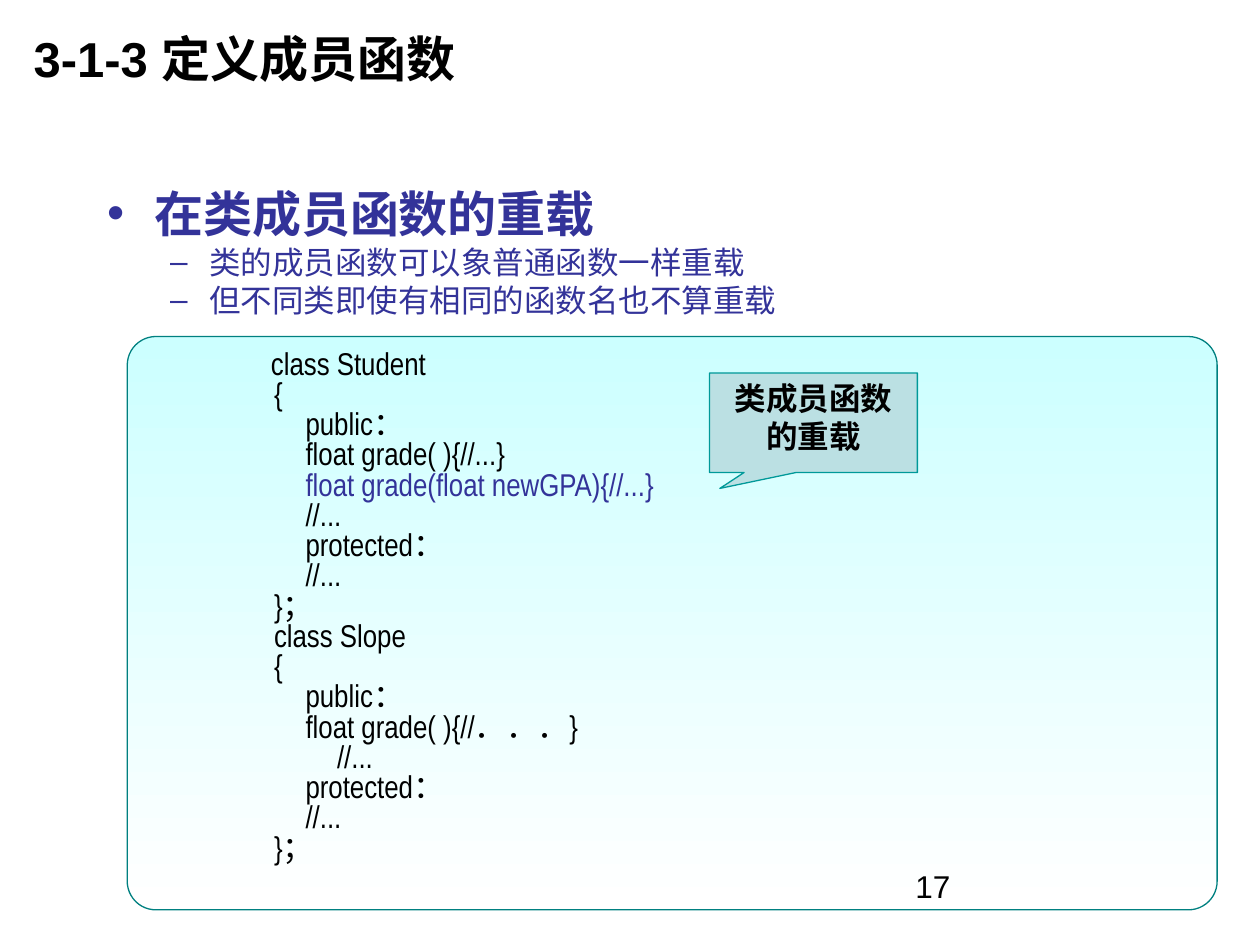
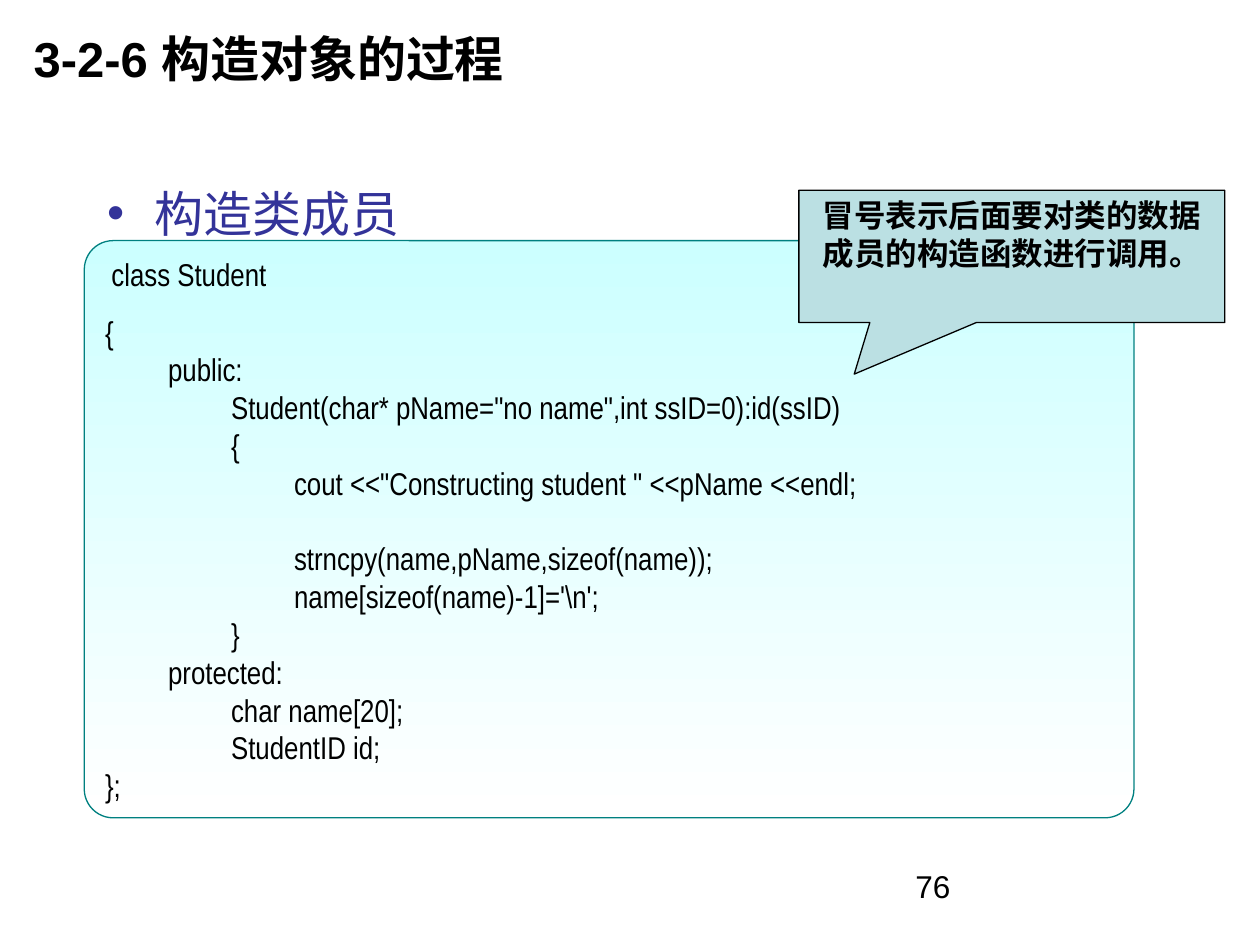
"""Builds two slides on C++ member functions and object construction."""
from pptx import Presentation
from pptx.dml.color import RGBColor
from pptx.enum.shapes import MSO_SHAPE
from pptx.enum.text import MSO_ANCHOR, MSO_AUTO_SIZE, PP_ALIGN
from pptx.util import Pt

ROUNDED, CALLOUT = MSO_SHAPE.ROUNDED_RECTANGLE, MSO_SHAPE.RECTANGULAR_CALLOUT
TOP, MIDDLE = MSO_ANCHOR.TOP, MSO_ANCHOR.MIDDLE
LEFT, CENTER = PP_ALIGN.LEFT, PP_ALIGN.CENTER
NO_FIT = MSO_AUTO_SIZE.NONE
BLACK, NAVY, TEAL, PALE = "000000", "333399", "008080", "BBE0E3"
EM = 18


def rgb(value):
    return RGBColor.from_string(value)


def style(p, size=18, color=BLACK, bold=False, name="Arial", align=LEFT):
    p.alignment = align
    for r in p.runs:
        r.font.size, r.font.bold, r.font.name = Pt(size), bold, name
        r.font.color.rgb = rgb(color)


# Code lines: indent in ems, text, space before in points, colour.
slides = [
    dict(
        title="3-1-3 定义成员函数", page="17", bold=True,
        bullets=["在类成员函数的重载", "类的成员函数可以象普通函数一样重载",
                 "但不同类即使有相同的函数名也不算重载"],
        box=(72.7, 192.3, 622.8, 327.6), pitch=17.3,
        code=[(3.9, "class Student", 0, BLACK), (4, "{", 0, BLACK),
              (5, "public：", 0, BLACK), (5, "float grade( ){//...}", 0, BLACK),
              (5, "float grade(float newGPA){//...}", 0, NAVY),
              (5, "//...", 0, BLACK), (5, "protected：", 0, BLACK),
              (5, "//...", 0, BLACK), (4, "}；", 0, BLACK),
              (4, "class Slope", 0, BLACK), (4, "{", 0, BLACK),
              (5, "public：", 0, BLACK), (5, "float grade( ){//．．．}", 0, BLACK),
              (6, "//...", 0, BLACK), (5, "protected：", 0, BLACK),
              (5, "//...", 0, BLACK), (4, "}；", 0, BLACK)],
        note="类成员函数的重载", note_box=(405.4, 213.1, 118.8, 56.9),
        tip=(-0.45, 0.66), note_line="009999"),
    dict(
        title="3-2-6 构造对象的过程", page="76", bold=False,
        bullets=["构造类成员"],
        box=(48.2, 137.5, 599.8, 329.8), pitch=21.6,
        code=[(0.2, "class Student", 0, BLACK), (0, "{", 11.2, BLACK),
              (2, "public:", 0, BLACK),
              (4, 'Student(char* pName="no name",int ssID=0):id(ssID)', 0, BLACK),
              (4, "{", 0, BLACK),
              (6, 'cout <<"Constructing student " <<pName <<endl;', 0, BLACK),
              (6, "strncpy(name,pName,sizeof(name));", 21.6, BLACK),
              (6, "name[sizeof(name)-1]='\\n';", 0, BLACK), (4, "}", 0, BLACK),
              (2, "protected:", 0, BLACK), (4, "char name[20];", 0, BLACK),
              (4, "StudentID id;", 0, BLACK), (0, "};", 0, BLACK)],
        note="冒号表示后面要对类的数据成员的构造函数进行调用。",
        note_box=(456.5, 108.7, 243.4, 75.6), tip=(-0.37, 0.89), note_line=BLACK),
]

prs = Presentation()
prs.slide_width, prs.slide_height = Pt(720), Pt(540)

for data in slides:
    s = prs.slides.add_slide(prs.slide_layouts[1])

    title = s.shapes.title
    title.left, title.top, title.width, title.height = Pt(12), Pt(0), Pt(540), Pt(66)
    tf = title.text_frame
    tf.text = data["title"]
    tf.auto_size, tf.vertical_anchor = NO_FIT, MIDDLE
    style(tf.paragraphs[0], 28, bold=True)

    body = s.placeholders[1]
    body.left, body.top, body.width, body.height = Pt(54), Pt(108), Pt(612), Pt(372)
    tf = body.text_frame
    tf.text = "\n".join(data["bullets"])
    tf.auto_size = NO_FIT
    for i, p in enumerate(tf.paragraphs):
        p.level = min(i, 1)
        p.line_spacing = 0.8
        p.space_before = Pt(4.5 if i else 7)
        style(p, 18 if i else 28, NAVY, data["bold"] and i == 0)

    sp = s.shapes.add_shape(ROUNDED, *map(Pt, data["box"]))
    sp.adjustments[0] = 0.05
    sp.shadow.inherit = False
    sp.fill.gradient()
    sp.fill.gradient_angle = 270
    for stop, position, color in zip(sp.fill.gradient_stops, (0, 1), ("CCFFFF", "FFFFFF")):
        stop.position, stop.color.rgb = position, rgb(color)
    sp.line.color.rgb, sp.line.width = rgb(TEAL), Pt(0.75)
    tf = sp.text_frame
    tf.text = "\n".join(line[1] for line in data["code"])
    tf.word_wrap, tf.vertical_anchor = True, TOP
    for p, (indent, _, before, color) in zip(tf.paragraphs, data["code"]):
        p.line_spacing, p.space_before = Pt(data["pitch"]), Pt(before)
        p._p.get_or_add_pPr().set("marL", str(Pt(indent * EM)))
        style(p, color=color, name="Arial Narrow")

    sp = s.shapes.add_shape(CALLOUT, *map(Pt, data["note_box"]))
    sp.adjustments[0], sp.adjustments[1] = data["tip"]
    sp.shadow.inherit = False
    sp.fill.solid()
    sp.fill.fore_color.rgb = rgb(PALE)
    sp.line.color.rgb, sp.line.width = rgb(data["note_line"]), Pt(0.75)
    tf = sp.text_frame
    tf.text = data["note"]
    tf.word_wrap, tf.vertical_anchor = True, TOP
    style(tf.paragraphs[0], bold=True, name="Arial Narrow", align=CENTER)

    tf = s.shapes.add_textbox(Pt(516), Pt(492), Pt(168), Pt(37.5)).text_frame
    tf.text = data["page"]
    tf.word_wrap = True
    style(tf.paragraphs[0])

prs.save("out.pptx")
